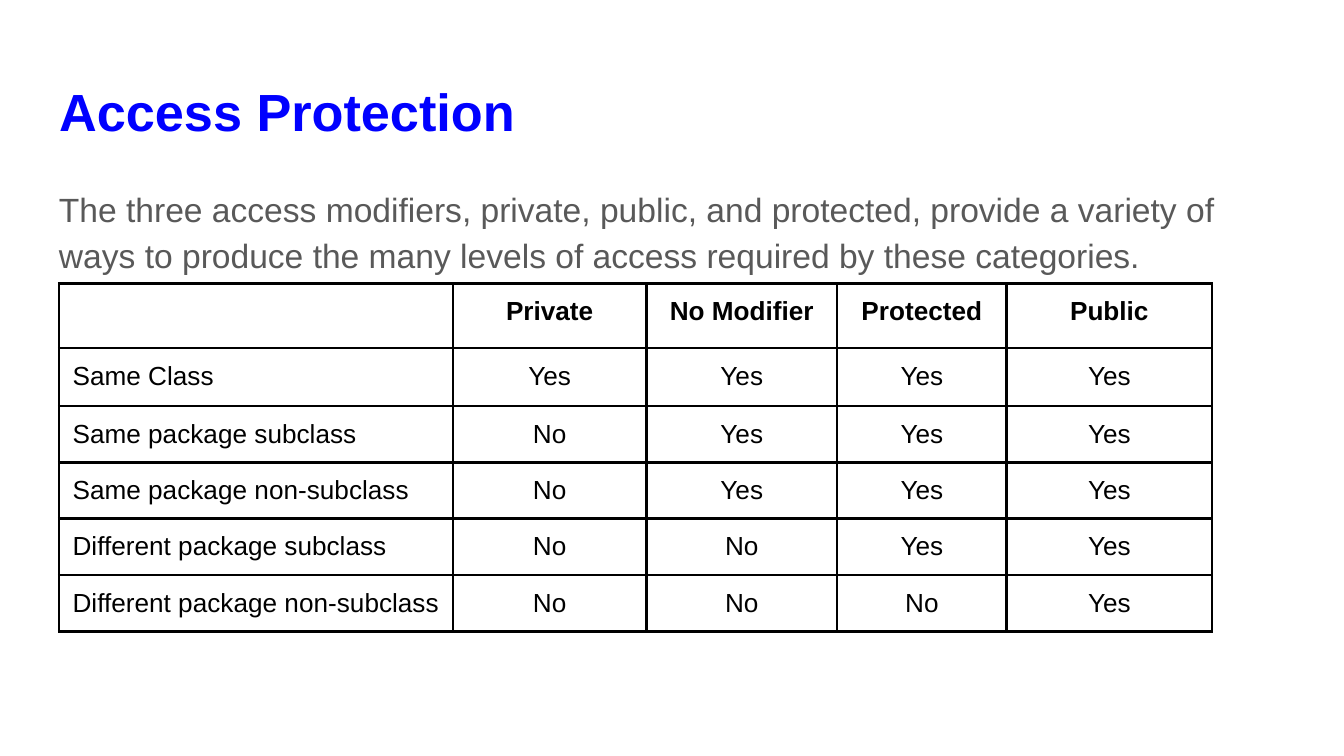
from dataclasses import dataclass

from lxml import etree
from pptx import Presentation
from pptx.dml.color import RGBColor
from pptx.enum.text import MSO_ANCHOR, PP_ALIGN
from pptx.oxml.ns import qn
from pptx.util import Inches, Pt

LEFT, CENTER = PP_ALIGN.LEFT, PP_ALIGN.CENTER
TOP = MSO_ANCHOR.TOP
TITLE_ONLY = 5


@dataclass(frozen=True)
class Theme:
    """Colours, font and type sizes of the slide."""
    font: str = "Arial"
    title: str = "0000FF"
    body: str = "595959"
    ink: str = "000000"
    title_size: float = 28
    body_size: float = 18
    table_size: float = 14
    border: float = 1.5
    inset: float = 0.1
    cell_bottom: float = 0.08


@dataclass(frozen=True)
class AccessRow:
    """One kind of caller and its access under each modifier."""
    caller: str
    access: tuple[str, ...]


THEME = Theme()
MODIFIERS = ("Private", "No Modifier", "Protected", "Public")
ACCESS_ROWS = (
    AccessRow("Same Class", ("Yes", "Yes", "Yes", "Yes")),
    AccessRow("Same package subclass", ("No", "Yes", "Yes", "Yes")),
    AccessRow("Same package non-subclass", ("No", "Yes", "Yes", "Yes")),
    AccessRow("Different package subclass", ("No", "No", "Yes", "Yes")),
    AccessRow("Different package non-subclass", ("No", "No", "No", "Yes")),
)
COLUMN_WIDTHS = (2.93, 1.44, 1.42, 1.26, 1.53)
ROW_HEIGHTS = (0.42, 0.43, 0.42, 0.42, 0.42, 0.42)
INTRO = ("The three access modifiers, private, public, and protected, provide "
         "a variety of ways to produce the many levels of access required by "
         "these categories.")


def write(frame, text: str, size: float, color: str, bold: bool = False,
          align=LEFT, spacing: float = 1.0) -> None:
    """Put one formatted paragraph into a text frame."""
    frame.text = text
    para = frame.paragraphs[0]
    para.alignment = align
    para.line_spacing = spacing
    for span in para.runs:
        span.font.name = THEME.font
        span.font.size = Pt(size)
        span.font.bold = bold
        span.font.color.rgb = RGBColor.from_string(color)


def set_insets(target, bottom: float = THEME.inset) -> None:
    """Set the margins of a cell or text frame."""
    target.margin_left = target.margin_right = Inches(THEME.inset)
    target.margin_top = Inches(THEME.inset)
    target.margin_bottom = Inches(bottom)


def place(shape, left: float, top: float, width: float, height: float) -> None:
    """Position a text shape and prepare its frame."""
    shape.left, shape.top = Inches(left), Inches(top)
    shape.width, shape.height = Inches(width), Inches(height)
    frame = shape.text_frame
    frame.word_wrap = True
    frame.vertical_anchor = TOP
    set_insets(frame)


def add_borders(cell) -> None:
    """Draw solid lines on all four sides of a cell."""
    properties = cell._tc.get_or_add_tcPr()
    for index, side in enumerate(("lnL", "lnR", "lnT", "lnB")):
        line = etree.Element(qn(f"a:{side}"), w=str(Pt(THEME.border)))
        fill = etree.SubElement(line, qn("a:solidFill"))
        etree.SubElement(fill, qn("a:srgbClr"), val=THEME.ink)
        properties.insert(index, line)


def add_access_table(page, left: float, top: float) -> None:
    """Add the table of access by caller and modifier."""
    rows = (AccessRow("", MODIFIERS),) + ACCESS_ROWS
    table = page.shapes.add_table(
        len(rows), len(COLUMN_WIDTHS), Inches(left), Inches(top),
        Inches(sum(COLUMN_WIDTHS)), Inches(sum(ROW_HEIGHTS))).table
    table.horz_banding = False
    for column, width in zip(table.columns, COLUMN_WIDTHS):
        column.width = Inches(width)
    for row_index, row in enumerate(rows):
        table.rows[row_index].height = Inches(ROW_HEIGHTS[row_index])
        for column_index, text in enumerate((row.caller, *row.access)):
            cell = table.cell(row_index, column_index)
            cell.fill.background()
            set_insets(cell, THEME.cell_bottom)
            write(cell.text_frame, text, THEME.table_size, THEME.ink,
                  bold=row_index == 0,
                  align=CENTER if column_index else LEFT)
            add_borders(cell)


def build() -> None:
    """Build the slide and save the deck."""
    deck = Presentation()
    deck.slide_width = Inches(10)
    deck.slide_height = Inches(10 * 9 / 16)
    page = deck.slides.add_slide(deck.slide_layouts[TITLE_ONLY])
    title = page.shapes.title
    place(title, 0.34, 0.49, 9.32, 0.63)
    write(title.text_frame, "Access Protection", THEME.title_size,
          THEME.title, bold=True)
    intro = page.shapes.add_textbox(0, 0, 0, 0)
    place(intro, 0.34, 1.26, 9.32, 3.74)
    write(intro.text_frame, INTRO, THEME.body_size, THEME.body, spacing=1.15)
    add_access_table(page, 0.44, 2.11)
    deck.save("out.pptx")


build()
